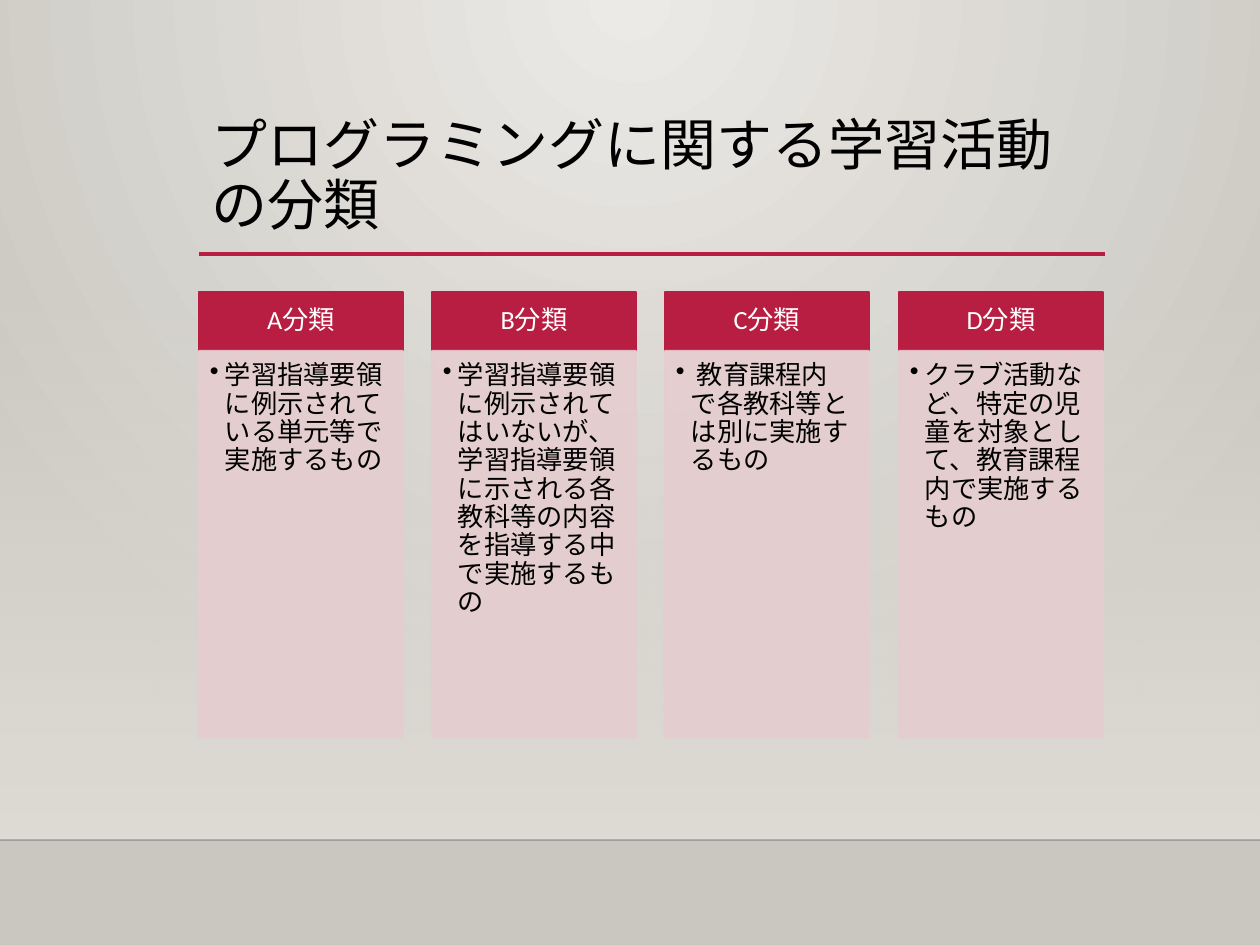
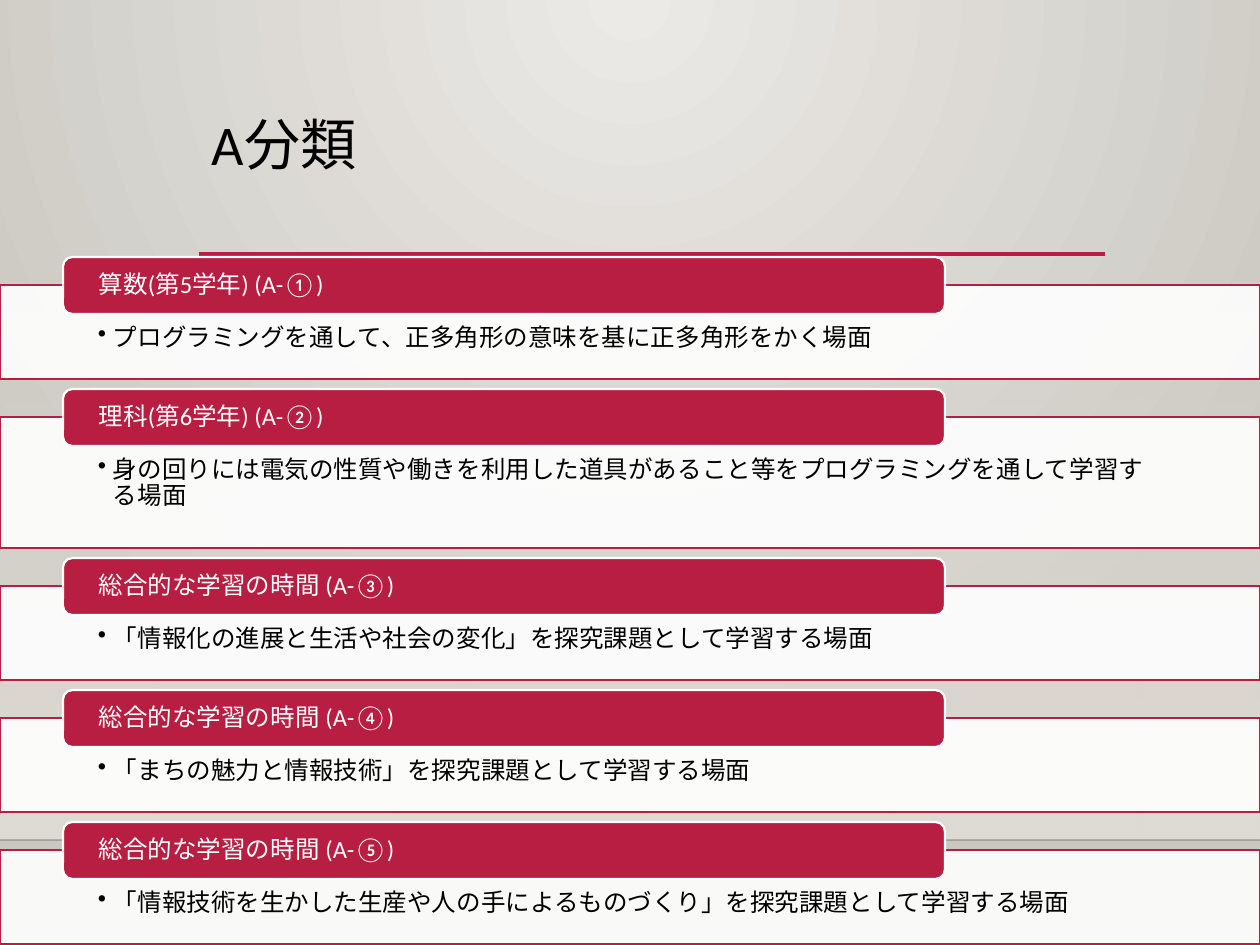
from dataclasses import dataclass

from lxml import etree
from pptx import Presentation
from pptx import util as u
from pptx.dml.color import RGBColor
from pptx.enum import lang, shapes, text
from pptx.oxml import ns

PX_PER_INCH = 126
SLIDE_WIDTH, SLIDE_HEIGHT = 1260, 945
CONTENT_LEFT, CONTENT_WIDTH = 199, 906


@dataclass(frozen=True)
class Theme:
    accent: str = "B71E42"
    card: str = "E6CDCF"
    white: str = "FFFFFF"
    ink: str = "000000"
    horizon: str = "000001"
    glow: str = "ECEAE7"
    edge: str = "CAC7C1"
    haze: str = "DFDBD5"
    font: str = "Calibri"
    title_size: int = 32
    column_size: int = 15
    row_size: int = 14
    outline: float = 1.25
    rule: float = 2.5


THEME = Theme()

CATEGORIES = [
    ("A分類", "学習指導要領に例示されている単元等で実施するもの"),
    ("B分類", "学習指導要領に例示されてはいないが、学習指導要領に示される各教科等の内容を指導する中で実施するもの"),
    ("C分類", " 教育課程内で各教科等とは別に実施するもの"),
    ("D分類", "クラブ活動など、特定の児童を対象として、教育課程内で実施するもの"),
]

SCENES = [
    ("算数(第5学年) (A-①)", "プログラミングを通して、正多角形の意味を基に正多角形をかく場面", 94),
    ("理科(第6学年) (A-②)", "身の回りには電気の性質や働きを利用した道具があること等をプログラミングを通して学習する場面", 131),
    ("総合的な学習の時間 (A-③)", "「情報化の進展と生活や社会の変化」を探究課題として学習する場面", 94),
    ("総合的な学習の時間 (A-④)", "「まちの魅力と情報技術」を探究課題として学習する場面", 94),
    ("総合的な学習の時間 (A-⑤)", "「情報技術を生かした生産や人の手によるものづくり」を探究課題として学習する場面", 94),
]


def px(length):
    return u.Emu(round(length * 914400 / PX_PER_INCH))


def color(value):
    return RGBColor.from_string(value)


def add_xml(parent, tag, **attributes):
    child = etree.SubElement(parent, ns.qn(tag))
    for name, value in attributes.items():
        child.set(name, str(value))
    return child


def set_alpha(parent, percent):
    for node in parent.iter(ns.qn("a:srgbClr")):
        add_xml(node, "a:alpha", val=percent * 1000)


def set_gradient(owner, stops):
    owner.fill.gradient()


def start_gradient(fill, element, stops):
    fill.gradient()
    gradient = element.find(".//" + ns.qn("a:gradFill"))
    for child in list(gradient):
        gradient.remove(child)
    stop_list = add_xml(gradient, "a:gsLst")
    for position, value, opacity in stops:
        stop = add_xml(stop_list, "a:gs", pos=position * 1000)
        node = add_xml(stop, "a:srgbClr", val=value)
        if opacity < 100:
            add_xml(node, "a:alpha", val=opacity * 1000)
    return gradient


def add_box(slide, kind, left, top, width, height, fill=None, line=None):
    shape = slide.shapes.add_shape(kind, px(left), px(top), px(width), px(height))
    shape.shadow.inherit = False
    if fill:
        shape.fill.solid()
        shape.fill.fore_color.rgb = color(fill)
    if line:
        shape.line.color.rgb = color(line)
        shape.line.width = u.Pt(THEME.outline)
    else:
        shape.line.fill.background()
    return shape


def add_line(slide, left, right, y, value, width, opacity=100):
    line = slide.shapes.add_connector(
        shapes.MSO_CONNECTOR.STRAIGHT, px(left), px(y), px(right), px(y))
    line.line.color.rgb = color(value)
    line.line.width = u.Pt(width)
    properties = line.element.spPr
    if opacity < 100:
        set_alpha(properties, opacity)
    add_xml(properties, "a:effectLst")


def write(shape, words, size, value, insets, anchor=text.MSO_ANCHOR.TOP,
          align=text.PP_ALIGN.LEFT, bullet=False):
    frame = shape.text_frame
    frame.word_wrap = True
    frame.vertical_anchor = anchor
    frame.margin_left, frame.margin_top, frame.margin_right, frame.margin_bottom = map(px, insets)
    paragraph = frame.paragraphs[0]
    paragraph.alignment = align
    paragraph.line_spacing = 0.9
    if bullet:
        properties = paragraph._p.get_or_add_pPr()
        properties.set("marL", str(px(15)))
        properties.set("indent", str(px(-15)))
        add_xml(properties, "a:buChar", char="•")
    run = paragraph.add_run()
    run.text = words
    run.font.name = THEME.font
    run.font.size = u.Pt(size)
    run.font.color.rgb = color(value)
    run.font.language_id = lang.MSO_LANGUAGE_ID.JAPANESE


def add_base(presentation, title):
    slide = presentation.slides.add_slide(presentation.slide_layouts[6])
    glow = start_gradient(slide.background.fill, slide.element,
                          [(0, THEME.glow, 100), (100, THEME.edge, 100)])
    circle = add_xml(glow, "a:path", path="circle")
    add_xml(circle, "a:fillToRect", l=43000, t=0, r=43000, b=100000)

    band = add_box(slide, shapes.MSO_SHAPE.RECTANGLE, 0, 277, SLIDE_WIDTH, 563)
    haze = start_gradient(band.fill, band.element,
                          [(0, THEME.haze, 0), (100, THEME.haze, 100)])
    add_xml(haze, "a:lin", ang=90 * 60000, scaled=0)

    add_line(slide, 0, SLIDE_WIDTH, 840, THEME.horizon, 1, 20)
    add_line(slide, CONTENT_LEFT, CONTENT_LEFT + CONTENT_WIDTH, 254, THEME.accent, THEME.rule)
    title_box = slide.shapes.add_textbox(px(CONTENT_LEFT), px(111), px(CONTENT_WIDTH), px(145))
    write(title_box, title, THEME.title_size, THEME.ink, (13, 6, 13, 6))
    return slide


def add_category(slide, left, name, description):
    width, header_top, header_height = 204, 292, 59
    header = add_box(slide, shapes.MSO_SHAPE.RECTANGLE, left, header_top, width,
                     header_height, THEME.accent, THEME.accent)
    write(header, name, THEME.column_size, THEME.white, (15, 9, 15, 9),
          text.MSO_ANCHOR.MIDDLE, text.PP_ALIGN.CENTER)
    card = add_box(slide, shapes.MSO_SHAPE.RECTANGLE, left, header_top + header_height,
                   width, 386, THEME.card, THEME.card)
    set_alpha(card.element.spPr, 90)
    write(card, description, THEME.column_size, THEME.ink, (11, 11, 15, 16), bullet=True)


def add_scene(slide, top, height, subject, description):
    panel = add_box(slide, shapes.MSO_SHAPE.RECTANGLE, 0, top, SLIDE_WIDTH, height,
                    THEME.white, THEME.accent)
    set_alpha(panel.element.spPr.find(ns.qn("a:solidFill")), 90)
    write(panel, description, THEME.row_size, THEME.ink, (98, 40, 98, 14), bullet=True)
    tag_height = 57
    tag = add_box(slide, shapes.MSO_SHAPE.ROUNDED_RECTANGLE, 63, top - tag_height // 2,
                  882, tag_height, THEME.accent, THEME.white)
    write(tag, subject, THEME.row_size, THEME.white, (33, 0, 33, 0), text.MSO_ANCHOR.MIDDLE)


def add_category_slide(presentation):
    slide = add_base(presentation, "プログラミングに関する学習活動の分類")
    for index, (name, description) in enumerate(CATEGORIES):
        add_category(slide, CONTENT_LEFT + index * 700 // 3, name, description)


def add_scene_slide(presentation):
    slide = add_base(presentation, "A分類")
    top, gap = 285, 38
    for subject, description, height in SCENES:
        add_scene(slide, top, height, subject, description)
        top += height + gap


def main():
    presentation = Presentation()
    presentation.slide_width = px(SLIDE_WIDTH)
    presentation.slide_height = px(SLIDE_HEIGHT)
    add_category_slide(presentation)
    add_scene_slide(presentation)
    presentation.save("out.pptx")


if __name__ == "__main__":
    main()
